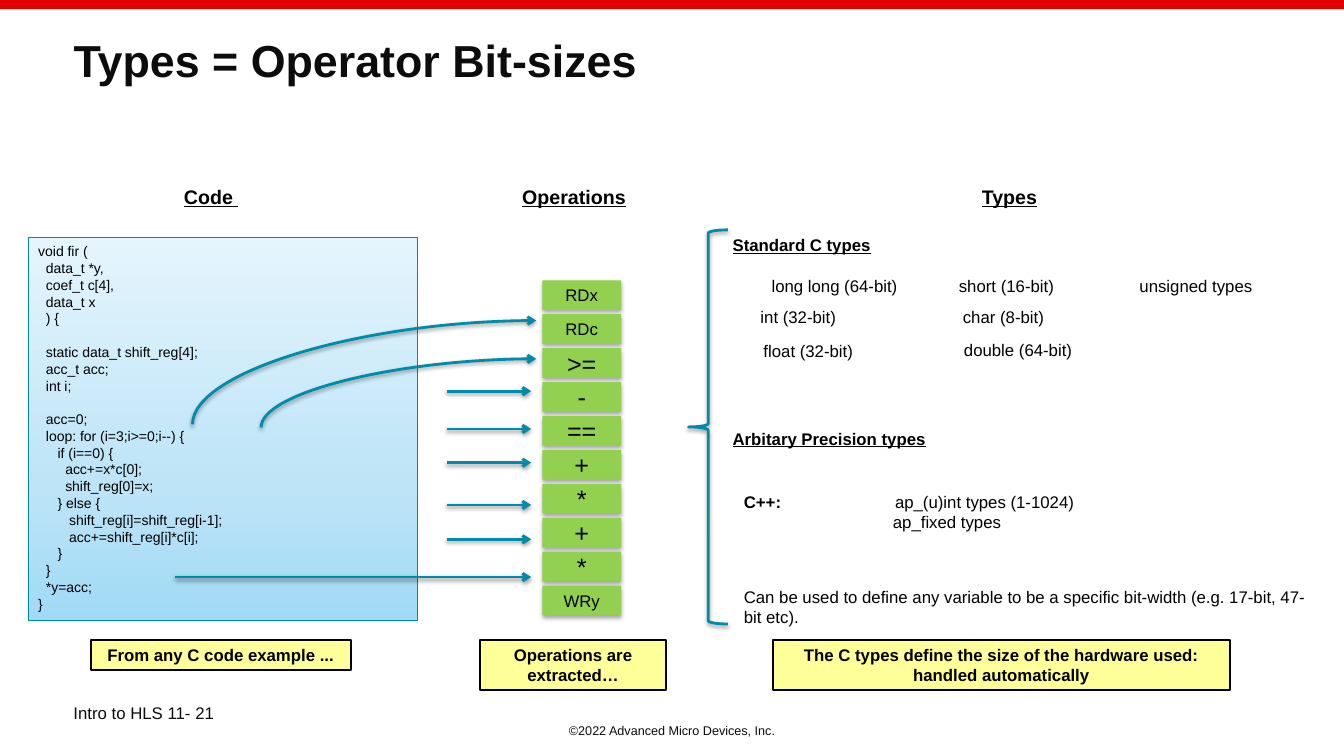
from dataclasses import dataclass

from pptx import Presentation
from pptx.dml.color import RGBColor
from pptx.enum import shapes, text
from pptx.oxml import parse_xml
from pptx.oxml import ns
from pptx.util import Pt


@dataclass(frozen=True)
class Theme:
    font: str = "Arial"
    ink: str = "000000"
    soft_ink: str = "0C0C0C"
    banner: str = "E20000"
    teal: str = "008CA8"
    code_edge: str = "0089A4"
    code_stops: tuple = ((0, "A0DAF6"), (35, "BDE4F7"), (100, "E5F5FD"))
    note: str = "FFFF99"
    operation: str = "92D050"
    title: int = 32
    symbol: int = 18
    heading: int = 14
    body: int = 12
    code: int = 10
    footer: int = 9


THEME = Theme()
LEFT, CENTER = text.PP_ALIGN.LEFT, text.PP_ALIGN.CENTER

CODE = """void fir (
  data_t *y,
  coef_t c[4],
  data_t x
  ) {

  static data_t shift_reg[4];
  acc_t acc;
  int i;

  acc=0;
  loop: for (i=3;i>=0;i--) {
     if (i==0) {
       acc+=x*c[0];
       shift_reg[0]=x;
     } else {
        shift_reg[i]=shift_reg[i-1];
        acc+=shift_reg[i]*c[i];
     }
  }
  *y=acc;
}"""
OPERATIONS = ("RDx", "RDc", ">=", "-", "==", "+", "*", "+", "*", "WRy")
HEADINGS = (("Code ", 64.8), ("Operations", 324), ("Types", 635))
NOTES = (
    ("From any C code example ...", 64.8, 185.8, 21.6),
    ("Operations are extracted…", 342.7, 133.2, 36),
    ("The C types define the size of the hardware used: handled automatically", 552.2, 326.2, 36),
)
STANDARD_TYPES = (
    ("long long (64-bit)", 543.6, 193.7, 105.1),
    ("short (16-bit)", 677.5, 193.7, 82.8),
    ("unsigned types", 806.4, 193.7, 95.8),
    ("int (32-bit)", 535.7, 215.6, 69.1),
    ("char (8-bit)", 680.4, 215.3, 72.7),
    ("float (32-bit)", 537.8, 239.8, 79.2),
    ("double (64-bit)", 681.1, 239.2, 92.2),
)
SHORT_ARROW_ROWS = (279.4, 306.4, 330.5, 360.7, 385.2)
CURVES = ((137.5, 303.1, 383, 229), (186.5, 305.3, 383, 256.3))


def color(value):
    return RGBColor.from_string(value)


def add_xml(parent, xml):
    element = parse_xml(xml.replace(">", " " + ns.nsdecls("a") + ">", 1))
    parent.append(element)


def add_shadow(shape, opacity, distance):
    add_xml(shape._element.spPr, f"""<a:effectLst>
        <a:outerShdw blurRad="{Pt(3.1)}" dist="{Pt(distance)}" dir="5400000" rotWithShape="0">
        <a:srgbClr val="000000"><a:alpha val="{opacity * 1000}"/></a:srgbClr>
        </a:outerShdw></a:effectLst>""")


def write(para, words, size=THEME.body, bold=False, underline=False, ink=THEME.ink):
    span = para.add_run()
    span.text = words
    span.font.name = THEME.font
    span.font.size = Pt(size)
    span.font.bold = bold
    span.font.underline = underline
    span.font.color.rgb = color(ink)


def prepare(shape, align=LEFT, wrap=True, anchor=text.MSO_ANCHOR.TOP):
    frame = shape.text_frame
    frame.word_wrap = wrap
    frame.auto_size = text.MSO_AUTO_SIZE.NONE
    frame.vertical_anchor = anchor
    frame.paragraphs[0].alignment = align
    return frame.paragraphs[0]


def add_label(page, words, left, top, width, height=21.6, align=LEFT, wrap=True,
              size=THEME.body, **style):
    box = page.shapes.add_textbox(Pt(left), Pt(top), Pt(width), Pt(height))
    para = prepare(box, align, wrap)
    para.line_spacing = Pt(1.2 * size)
    write(para, words, size, **style)


def add_block(page, left, top, width, height, fill=None, line=None, weight=0.75,
              kind=shapes.MSO_SHAPE.RECTANGLE):
    block = page.shapes.add_shape(kind, Pt(left), Pt(top), Pt(width), Pt(height))
    if fill:
        block.fill.solid()
        block.fill.fore_color.rgb = color(fill)
    else:
        block.fill.background()
    if line:
        block.line.color.rgb = color(line)
        block.line.width = Pt(weight)
    else:
        block.line.fill.background()
    return block


def add_note(page, words, left, width, height):
    note = add_block(page, left, 457.2, width, height, THEME.note, THEME.ink, 1.5)
    note.shadow.inherit = False
    para = prepare(note, CENTER)
    para.line_spacing = Pt(1.2 * THEME.body)
    write(para, words, bold=True)


def add_operation(page, words, row):
    block = add_block(page, 387.4, 200.2 + 24.24 * row, 56.2, 21.2, THEME.operation)
    add_shadow(block, 35, 1.8)
    para = prepare(block, CENTER, anchor=text.MSO_ANCHOR.MIDDLE)
    write(para, words, THEME.body if words.isalpha() else THEME.symbol)


def add_arrow(page, x1, y1, x2, y2, curved=False):
    kind = shapes.MSO_CONNECTOR.CURVE if curved else shapes.MSO_CONNECTOR.STRAIGHT
    arrow = page.shapes.add_connector(kind, Pt(x1), Pt(y1), Pt(x2), Pt(y2))
    if curved:
        # Quarter curve that leaves upwards and arrives from the left
        run, rise = x2 - x1, y1 - y2
        arrow.left, arrow.top = Pt((x1 + x2 - rise) / 2), Pt((y1 + y2 - run) / 2)
        arrow.width, arrow.height = Pt(rise), Pt(run)
        properties = arrow._element.spPr
        properties.find(ns.qn("a:prstGeom")).set("prst", "curvedConnector2")
        frame = properties.find(ns.qn("a:xfrm"))
        for name, value in (("rot", "5400000"), ("flipH", "1"), ("flipV", "1")):
            frame.set(name, value)
    arrow.line.color.rgb = color(THEME.teal)
    arrow.line.width = Pt(2)
    add_xml(arrow.line._get_or_add_ln(), '<a:tailEnd type="arrow"></a:tailEnd>')
    add_shadow(arrow, 38, 1.6)


def add_code(page):
    block = add_block(page, 20.2, 169.9, 277.9, 273.6, THEME.note, THEME.code_edge)
    block.shadow.inherit = False
    stops = "".join(f'<a:gs pos="{place * 1000}"><a:srgbClr val="{value}"/></a:gs>'
                    for place, value in THEME.code_stops)
    properties = block._element.spPr
    add_xml(properties, f'<a:gradFill rotWithShape="1"><a:gsLst>{stops}</a:gsLst>'
                        '<a:lin ang="16200000" scaled="1"/></a:gradFill>')
    properties.replace(properties.find(ns.qn("a:solidFill")), properties[-1])
    para = prepare(block)
    for number, section in enumerate(CODE.split("\n\n")):
        for row, words in enumerate(section.split("\n")):
            if number or row:
                para = block.text_frame.add_paragraph()
            para.alignment = LEFT
            para.line_spacing = Pt(1.2 * THEME.code)
            if number and not row:
                para.space_before = Pt(1.2 * THEME.code)
            write(para, words, THEME.code)


def add_precision_types(page):
    box = page.shapes.add_textbox(Pt(524.2), Pt(347.8), Pt(344.9), Pt(36))
    first = prepare(box)
    second = box.text_frame.add_paragraph()
    for para in (first, second):
        para.line_spacing = Pt(1.2 * THEME.body)
    add_xml(first._p.get_or_add_pPr(),
            f'<a:tabLst><a:tab pos="{Pt(108)}" algn="l"/></a:tabLst>')
    write(first, "C++:\t", bold=True)
    write(first, "ap_(u)int types (1-1024)")
    second._p.get_or_add_pPr().set("marL", str(Pt(106.5)))
    write(second, "ap_fixed types")


def main():
    deck = Presentation()
    deck.slide_width, deck.slide_height = Pt(960), Pt(540)
    page = deck.slides.add_slide(deck.slide_layouts[5])

    # Banner, title and footers
    add_block(page, 0, 0, 960, 6.5, THEME.banner).shadow.inherit = False
    title = page.shapes.title
    title.left, title.top, title.width, title.height = Pt(45.4), Pt(23.8), Pt(869), Pt(77)
    para = prepare(title)
    para.line_spacing = 0.9
    write(para, "Types = Operator Bit-sizes", THEME.title, bold=True, ink=THEME.soft_ink)
    add_label(page, "Intro to HLS 11- 21", 45.4, 498.2, 173.5, 28.8, ink=THEME.soft_ink)
    add_label(page, "©2022 Advanced Micro Devices, Inc.", 0, 512.6, 960, 18, CENTER,
              size=THEME.footer, ink=THEME.soft_ink)

    # Column headings and notes
    for words, left in HEADINGS:
        add_label(page, words, left, 128.2, 172.1, 24.5, CENTER,
                  size=THEME.heading, bold=True, underline=True)
    for note in NOTES:
        add_note(page, *note)

    # Code and its operations
    add_code(page)
    for curve in CURVES:
        add_arrow(page, *curve, curved=True)
    for y in SHORT_ARROW_ROWS:
        add_arrow(page, 319, y, 379.4, y)
    add_arrow(page, 125.3, 412.2, 379.4, 412.2)
    for row, words in enumerate(OPERATIONS):
        add_operation(page, words, row)

    # Types
    brace = add_block(page, 491.8, 164.2, 28.1, 281.5, line=THEME.teal, weight=2,
                      kind=shapes.MSO_SHAPE.LEFT_BRACE)
    add_shadow(brace, 38, 1.6)
    add_label(page, "Standard C types", 516.2, 164.2, 114.5, wrap=False,
              bold=True, underline=True)
    for words, left, top, width in STANDARD_TYPES:
        add_label(page, words, left, top, width, align=CENTER, wrap=False)
    add_label(page, "Arbitary Precision types", 516.2, 302.4, 205.2,
              bold=True, underline=True)
    add_precision_types(page)
    add_label(page, "Can be used to define any variable to be a specific bit-width "
              "(e.g. 17-bit, 47-bit etc).", 524.2, 415.4, 419, 36)

    deck.save("out.pptx")


if __name__ == "__main__":
    main()
